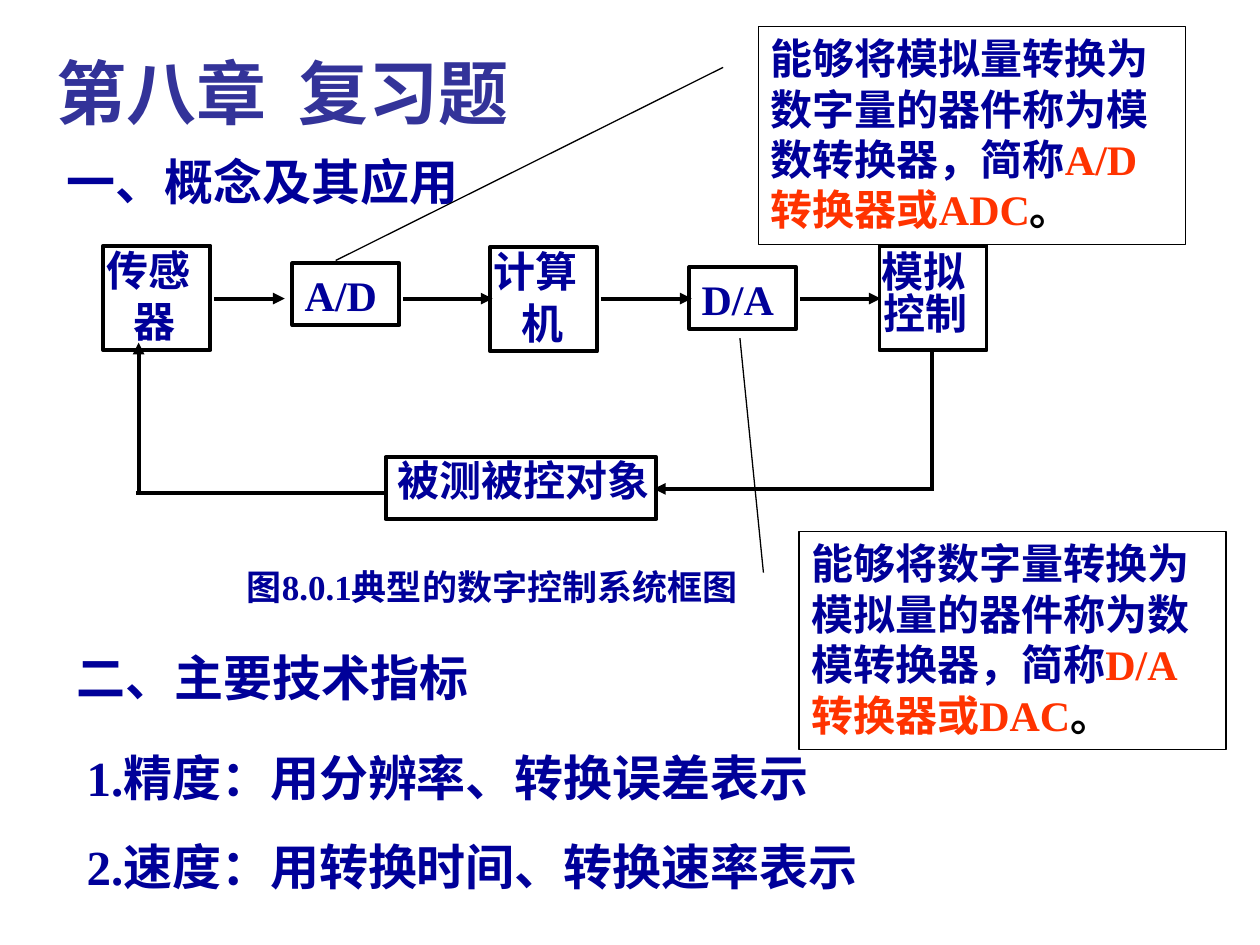
from collections import namedtuple

from lxml.etree import SubElement
from pptx import Presentation
from pptx.dml.color import RGBColor
from pptx.enum.shapes import MSO_CONNECTOR, MSO_SHAPE
from pptx.enum.text import MSO_ANCHOR, PP_ALIGN
from pptx.oxml.ns import qn
from pptx.util import Inches, Pt

WIDTH, HEIGHT = Inches(10), Inches(7.5)
COLUMN, ROW = WIDTH / 100, HEIGHT / 75

BLACK = RGBColor(0x00, 0x00, 0x00)
WHITE = RGBColor(0xFF, 0xFF, 0xFF)
NAVY = RGBColor(0x00, 0x00, 0x99)
INDIGO = RGBColor(0x33, 0x33, 0x99)
RED = RGBColor(0xFF, 0x33, 0x00)
SERIF, CHINESE = "Times New Roman", "Noto Sans CJK SC"

# All boxes are in grid columns and rows.
Box = namedtuple("Box", "left top width height")
LABEL_HEIGHT = 5


def to_lengths(box):
    return (round(box.left * COLUMN), round(box.top * ROW),
            round(box.width * COLUMN), round(box.height * ROW))


def format_paragraph(paragraph, size, color=NAVY, name=SERIF):
    paragraph.alignment = PP_ALIGN.LEFT
    font = paragraph.font
    font.size, font.bold, font.name = Pt(size), True, name
    font.color.rgb = color
    properties = paragraph._p.pPr.find(qn("a:defRPr"))
    SubElement(properties, qn("a:ea")).set("typeface", CHINESE)


def add_text(slide, box, text, size):
    frame = slide.shapes.add_textbox(*to_lengths(box)).text_frame
    frame.word_wrap = True
    paragraph = frame.paragraphs[0]
    paragraph.text = text
    format_paragraph(paragraph, size)


def set_title(slide, box, text):
    title = slide.shapes.title
    title.left, title.top, title.width, title.height = to_lengths(box)
    frame = title.text_frame
    frame.text = text
    frame.vertical_anchor = MSO_ANCHOR.MIDDLE
    format_paragraph(frame.paragraphs[0], 40, INDIGO, CHINESE)


def add_node(slide, box, labels):
    """Draw a framed block; each label is (text, x offset, y offset, width)."""
    frame = slide.shapes.add_shape(MSO_SHAPE.RECTANGLE, *to_lengths(box))
    frame.shadow.inherit = False
    frame.fill.solid()
    frame.fill.fore_color.rgb = WHITE
    frame.line.color.rgb = BLACK
    frame.line.width = Pt(2.25)
    for text, x, y, width in labels:
        label_box = Box(box.left + x, box.top + y, width, LABEL_HEIGHT)
        add_text(slide, label_box, text, 24)


def add_line(slide, start, end, arrow=True):
    line = slide.shapes.add_connector(
        MSO_CONNECTOR.STRAIGHT,
        round(start[0] * COLUMN), round(start[1] * ROW),
        round(end[0] * COLUMN), round(end[1] * ROW))
    line.line.color.rgb = BLACK
    line.line.width = Pt(2.25)
    if arrow:
        SubElement(line.line._get_or_add_ln(), qn("a:tailEnd")).set("type", "triangle")
    SubElement(line._element.spPr, qn("a:effectLst"))


def add_control_loop(slide, box):
    """Draw the control system diagram and its caption inside box."""
    x, y = box.left, box.top
    square, flat = (8.5, 8.3), (8.5, 4.9)
    nodes = [
        (0, 0, square, [("传感", -0.7, -0.6, 10.1), ("器", 1.4, 3.5, 5)]),
        (15, 1.4, flat, [("A/D", 0, 0, 15.7)]),
        (30.7, 0.1, square, [("计算", -0.7, -0.6, 10.1), ("机", 1.5, 3.5, 5)]),
        (46.5, 1.7, flat, [("D/A", 0, 0, 15.7)]),
        (61.6, 0, square, [("模拟", -0.8, -0.5, 10.1), ("控制", -0.7, 2.8, 10.1)]),
        (22.4, 16.8, (21.5, 4.9), [("被测被控对象", 0, -0.7, 30.1)]),
    ]
    for left, top, size, labels in nodes:
        add_node(slide, Box(x + left, y + top, *size), labels)

    forward = y + 4.2
    for start, end in [(8.8, 14.4), (23.8, 30.9), (39.5, 46.7), (55.3, 61.7)]:
        add_line(slide, (x + start, forward), (x + end, forward))

    right, left = x + 65.8, x + 2.8
    feedback, sensing = y + 19.3, y + 19.6
    add_line(slide, (right, y + 8.2), (right, feedback + 0.2), arrow=False)
    add_line(slide, (right, feedback), (x + 43.7, feedback))
    add_line(slide, (x + 22.3, sensing), (left - 0.2, sensing), arrow=False)
    add_line(slide, (left, sensing), (left, y + 7.7))

    caption = Box(x + 10.4, y + 24.9, 48.8, 4.4)
    add_text(slide, caption, "图8.0.1典型的数字控制系统框图", 20)


def add_callout(slide, box, pointer, definition, term):
    """Draw a definition whose leader ends at pointer (shares of box: y, x)."""
    callout = slide.shapes.add_shape(MSO_SHAPE.LINE_CALLOUT_1, *to_lengths(box))
    for index, value in enumerate((0.188, -0.083, *pointer)):
        callout.adjustments[index] = value
    callout.shadow.inherit = False
    callout.fill.background()
    callout.line.color.rgb = BLACK
    callout.line.width = Pt(0.75)
    frame = callout.text_frame
    frame.word_wrap = True
    frame.vertical_anchor = MSO_ANCHOR.TOP
    paragraph = frame.paragraphs[0]
    format_paragraph(paragraph, 24)
    for text, color in [(definition, NAVY), (term, RED), ("。", BLACK)]:
        run = paragraph.add_run()
        run.text = text
        run.font.color.rgb = color


def main():
    presentation = Presentation()
    presentation.slide_width, presentation.slide_height = WIDTH, HEIGHT
    slide = presentation.slides.add_slide(
        presentation.slide_layouts.get_by_name("Title Only"))

    set_title(slide, Box(3.5, 4.4, 85, 5.8), "第八章  复习题")
    add_control_loop(slide, Box(8.2, 19.5, 70.1, 29.3))
    for left, top, text in [
        (4.3, 11.5, "一、概念及其应用"),
        (5.1, 50.9, "二、主要技术指标"),
        (5.9, 58.8, "1.精度：用分辨率、转换误差表示"),
        (5.9, 65.9, "2.速度：用转换时间、转换速率表示"),
    ]:
        add_text(slide, Box(left, top, 79, 5.7), text, 28)

    add_callout(slide, Box(63.4, 42.2, 33.9, 17.3), (-0.888, -0.138),
                "能够将数字量转换为模拟量的器件称为数模转换器，简称", "D/A转换器或DAC")
    add_callout(slide, Box(60.2, 2.1, 33.9, 17.3), (1.074, -0.99),
                "能够将模拟量转换为数字量的器件称为模数转换器，简称", "A/D转换器或ADC")
    presentation.save("out.pptx")


if __name__ == "__main__":
    main()
